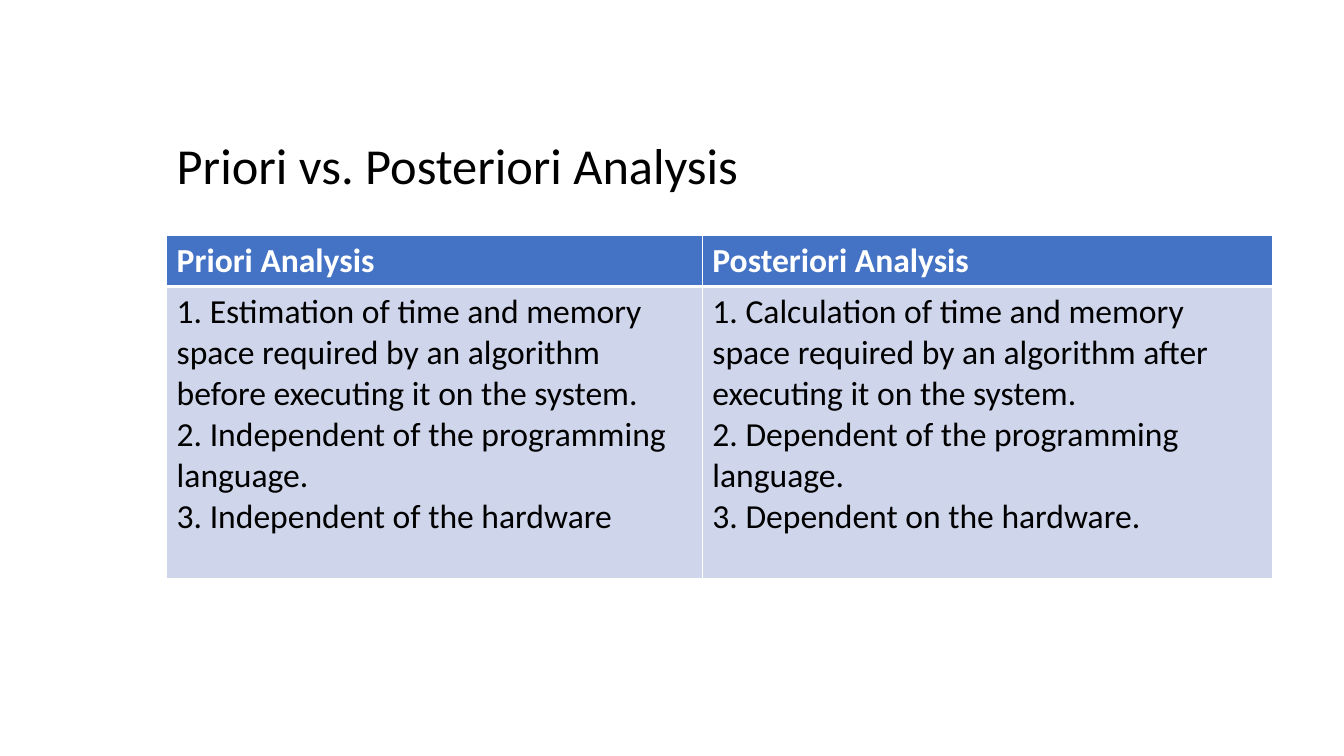
from lxml.etree import SubElement
from pptx import Presentation
from pptx.dml.color import RGBColor
from pptx.enum.text import MSO_ANCHOR, PP_ALIGN
from pptx.oxml.ns import qn
from pptx.util import Cm, Pt

FONT = "Calibri"
HUES = {"ink": "000000", "white": "FFFFFF", "head": "4472C4", "body": "CFD5EA"}
HEADS = ["Priori Analysis", "Posteriori Analysis"]
POINTS = [
    ["1. Estimation of time and memory space required by an algorithm "
     "before executing it on the system.",
     "2. Independent of the programming language.",
     "3. Independent of the hardware"],
    ["1. Calculation of time and memory space required by an algorithm "
     "after executing it on the system.",
     "2. Dependent of the programming language.",
     "3. Dependent on the hardware."],
]


def style(para, size, hue, bold=False):
    para.alignment = PP_ALIGN.LEFT
    font = para.font
    font.name, font.size, font.bold = FONT, Pt(size), bold
    font.color.rgb = RGBColor.from_string(HUES[hue])


def edge(cell, widths):
    """Draw white cell borders; widths maps an XML side to points."""
    props = cell._tc.get_or_add_tcPr()
    for spot, (side, width) in enumerate(widths.items()):
        line = SubElement(props, qn(f"a:{side}"), w=str(Pt(width)))
        fill = SubElement(line, qn("a:solidFill"))
        SubElement(fill, qn("a:srgbClr"), val=HUES["white"])
        props.insert(spot, line)


def add_title(slide, left, top, width, height):
    title = slide.shapes.title
    title.left, title.top, title.width, title.height = left, top, width, height
    frame = title.text_frame
    frame.text = "Priori vs. Posteriori Analysis"
    frame.word_wrap = False
    frame.vertical_anchor = MSO_ANCHOR.TOP
    style(frame.paragraphs[0], 36, "ink")


def fill_cell(cell, lines, back, ink, bold, top, base):
    cell.text = "\n".join(lines)
    for para in cell.text_frame.paragraphs:
        style(para, 24, ink, bold)
    cell.fill.solid()
    cell.fill.fore_color.rgb = RGBColor.from_string(HUES[back])
    edge(cell, {"lnL": 1, "lnR": 1, "lnT": top, "lnB": base})


def add_grid(slide, left, top, width, height):
    grid = slide.shapes.add_table(2, 2, left, top, width, height).table
    first, strip = Cm(13.5), Cm(1.23)
    grid.columns[0].width, grid.columns[1].width = first, width - first
    grid.rows[0].height, grid.rows[1].height = strip, height - strip
    for col, (head, points) in enumerate(zip(HEADS, POINTS)):
        fill_cell(grid.cell(0, col), [head], "head", "white", True, 1, 3)
        fill_cell(grid.cell(1, col), points, "body", "ink", False, 3, 1)


def main():
    deck = Presentation()
    deck.slide_width, deck.slide_height = Cm(33.87), Cm(19.05)
    slide = deck.slides.add_slide(deck.slide_layouts[5])
    left = Cm(4.2)
    add_title(slide, left, Cm(3.25), Cm(14.8), Cm(1.8))
    add_grid(slide, left, Cm(5.93), Cm(27.88), Cm(8.6))
    deck.save("out.pptx")


if __name__ == "__main__":
    main()
